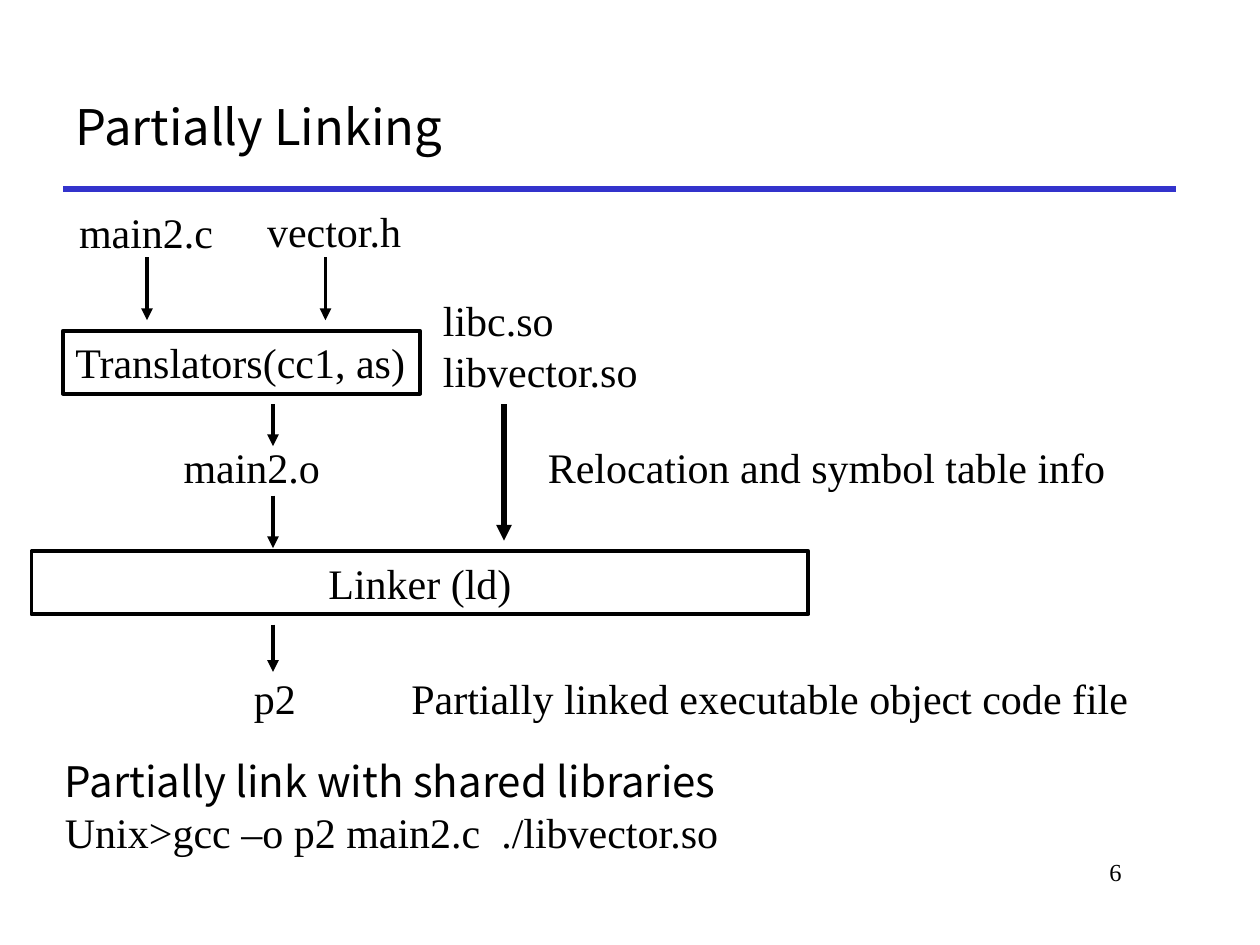
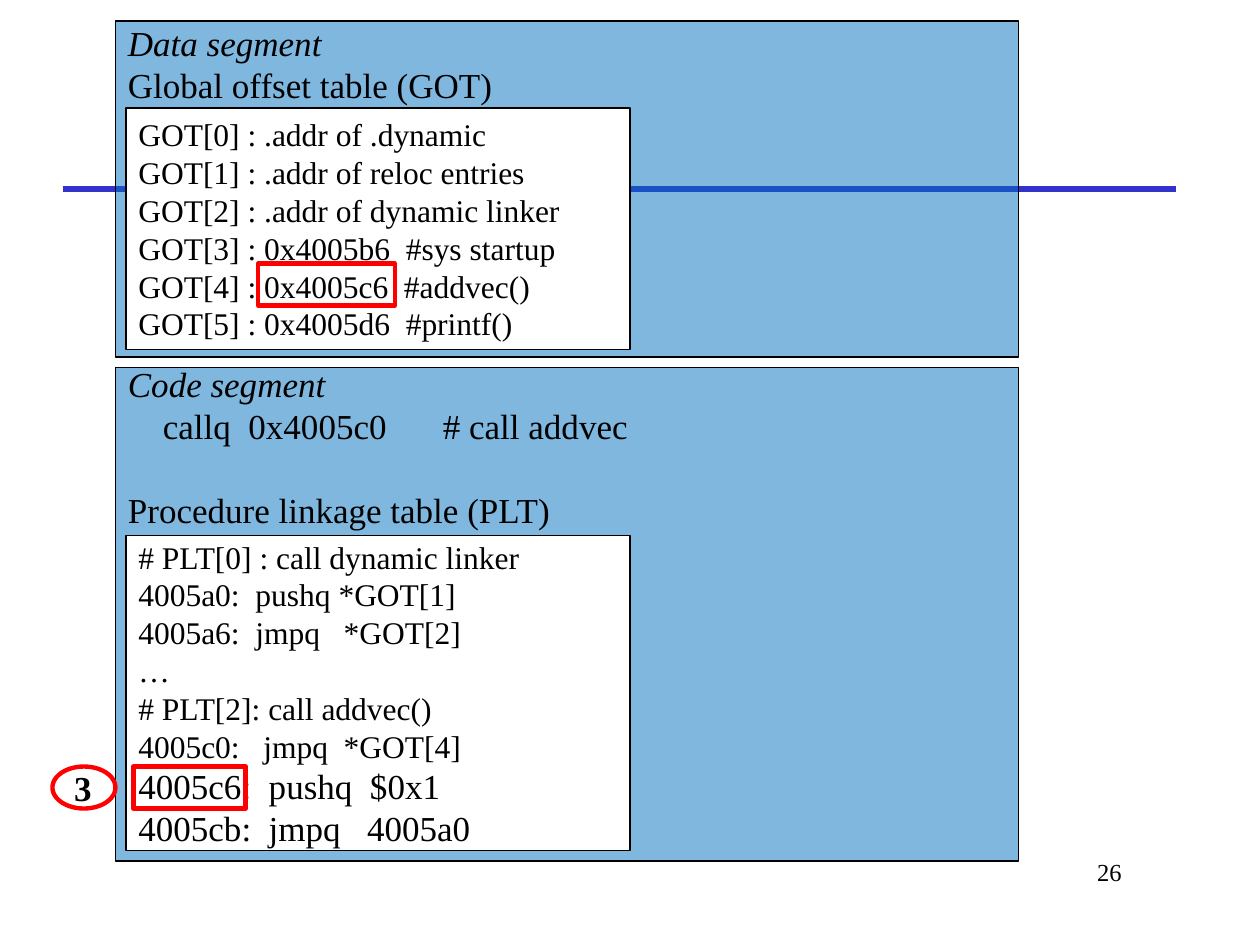
"""Build two slides on partial linking and lazy binding."""
from lxml import etree
from pptx import Presentation
from pptx import util as u
from pptx.dml.color import RGBColor
from pptx.enum import shapes, text
from pptx.oxml.ns import qn

BLACK = RGBColor(0, 0, 0)
WHITE = RGBColor(255, 255, 255)
RULE_BLUE = RGBColor(0x33, 0x33, 0xCC)
SEGMENT_BLUE = RGBColor(0, 0x70, 0xC0)
RED = RGBColor(255, 0, 0)
SERIF = "Times New Roman"
SANS = "Noto Sans CJK KR"
COLUMNS, ROWS = 120, 90
CELL = u.Inches(10) // COLUMNS
LEADING = 1.2
RECT = shapes.MSO_SHAPE.RECTANGLE
OVAL = shapes.MSO_SHAPE.OVAL
MIDDLE = text.MSO_ANCHOR.MIDDLE


def cells(*counts):
    """Turn grid counts into lengths."""
    return [u.Emu(round(count * CELL)) for count in counts]


def write(para, words, size=24, font=SERIF, align=text.PP_ALIGN.LEFT, bold=False,
          italic=False, spacing=None, before=0):
    """Fill a paragraph with formatted text."""
    para.alignment = align
    para.space_before = u.Pt(before)
    if spacing or font == SERIF:
        para.line_spacing = spacing or u.Pt(round(LEADING * size, 1))
    span = para.add_run()
    span.text = words
    span.font.name, span.font.size = font, u.Pt(size)
    span.font.bold, span.font.italic = bold, italic
    span.font.color.rgb = BLACK


def fill_frame(box, lines, wrap=True, anchor=text.MSO_ANCHOR.TOP, **style):
    """Write lines, each a string or a (string, format) pair."""
    frame = box.text_frame
    frame.word_wrap = wrap
    frame.vertical_anchor = anchor
    for index, line in enumerate(lines):
        words, extra = (line, {}) if isinstance(line, str) else line
        para = frame.add_paragraph() if index else frame.paragraphs[0]
        write(para, words, **{**style, **extra})


def add_label(page, at, *lines, **style):
    """Add a text box on the grid."""
    fill_frame(page.shapes.add_textbox(*cells(*at)), lines, **style)


def add_box(page, at, *lines, kind=RECT, fill=None, line=BLACK, weight=2.25, **style):
    """Add an outlined shape, with text if any."""
    box = page.shapes.add_shape(kind, *cells(*at))
    box.shadow.inherit = False
    if fill is None:
        box.fill.background()
    else:
        box.fill.solid()
        box.fill.fore_color.rgb = fill
    box.line.color.rgb, box.line.width = line, u.Pt(weight)
    if lines:
        fill_frame(box, lines, **style)
    return box


def add_segment(page, at, *lines, hidden_rows, size=20):
    """Add a half-transparent panel with its text above the reserved rows."""
    box = add_box(page, at, *lines, fill=SEGMENT_BLUE, weight=0.75, size=size, anchor=MIDDLE)
    color = box.fill._xPr.find(".//" + qn("a:srgbClr"))
    etree.SubElement(color, qn("a:alpha"), val="50000")
    box.text_frame.margin_top = 0
    box.text_frame.margin_bottom = u.Pt(hidden_rows * size * LEADING)


def add_line(page, start, end, color=BLACK, weight=2.25, arrow=True):
    """Add a straight line, with an arrowhead at its end by default."""
    line = page.shapes.add_connector(shapes.MSO_CONNECTOR.STRAIGHT, *cells(*start, *end))
    line.line.color.rgb, line.line.width = color, u.Pt(weight)
    if arrow:
        etree.SubElement(line.line._get_or_add_ln(), qn("a:tailEnd"), type="triangle")
    etree.SubElement(line._element.spPr, qn("a:effectLst"))


def add_down_arrow(page, column, top, bottom, weight=2.25):
    """Add a vertical arrow in a grid column."""
    add_line(page, (column, top), (column, bottom), weight=weight)


def add_page(deck, number, title=None):
    """Add a blank page with the rule, the number and a title."""
    page = deck.slides.add_slide(deck.slide_layouts[6])
    add_line(page, (6, 18), (112, 18), RULE_BLUE, 3, arrow=False)
    add_label(page, (91, 81, 17, 6), str(number), size=14, align=text.PP_ALIGN.RIGHT)
    if title:
        add_label(page, (6, 6, 106, 12), title, size=28, font=SANS, anchor=MIDDLE)
    return page


def build_linking(deck):
    """Draw the flow from sources to the partially linked program."""
    page = add_page(deck, 6, "Partially Linking")
    for words, left, top, width in (
            ("main2.c", 6.35, 19.1, 15.25), ("vector.h", 24.25, 19, 15.35),
            ("main2.o", 16.3, 41.5, 15.5), ("p2", 23, 63.5, 6.5)):
        add_label(page, (left, top, width, 6.1), words, wrap=False)
    add_box(page, (6, 31.5, 34, 6), "Translators(cc1, as)", wrap=False)
    add_box(page, (3, 52.5, 74, 6), "Linker (ld)", align=text.PP_ALIGN.CENTER)
    add_label(page, (41, 27.5, 22, 11), "libc.so", "libvector.so")
    add_label(page, (51, 41.5, 56, 6.1), "Relocation and symbol table info")
    add_label(page, (38, 63.5, 72, 6.1), "Partially linked executable object code file")
    for column, top, bottom in ((14, 24.5, 30.5), (31, 24.5, 30.5), (26, 38.5, 42.5),
                                (26, 47.2, 52.2), (26, 59.5, 64)):
        add_down_arrow(page, column, top, bottom)
    add_down_arrow(page, 48, 38.5, 51.5, weight=3)
    add_label(page, (5, 69, 106, 13.3),
              ("Partially link with shared libraries", {"font": SANS, "spacing": 1.5}),
              "Unix>gcc –o p2 main2.c  ./libvector.so")


def build_binding(deck):
    """Draw the GOT and the PLT in their segments."""
    page = add_page(deck, 26)
    add_segment(page, (11, 2, 86, 32), ("Data segment", {"italic": True}),
                "Global offset table (GOT)", hidden_rows=6)
    add_segment(page, (11, 35, 86, 47), ("Code segment", {"italic": True}),
                "    callq  0x4005c0\t# call addvec",
                ("Procedure linkage table (PLT)", {"before": 24}), hidden_rows=8)
    table = {"fill": WHITE, "weight": 0.75, "size": 18, "anchor": MIDDLE}
    add_box(page, (12, 10.3, 48, 23),
            "GOT[0] : .addr of .dynamic",
            "GOT[1] : .addr of reloc entries",
            "GOT[2] : .addr of dynamic linker",
            "GOT[3] : 0x4005b6  #sys startup",
            "GOT[4] : 0x4005c6  #addvec()",
            "GOT[5] : 0x4005d6  #printf()", **table)
    add_box(page, (12, 51, 48, 30),
            "# PLT[0] : call dynamic linker",
            "4005a0:  pushq *GOT[1]",
            "4005a6:  jmpq   *GOT[2]",
            "…",
            "# PLT[2]: call addvec()",
            "4005c0:   jmpq  *GOT[4]",
            ("4005c6:  pushq  $0x1", {"size": 20}),
            ("4005cb:  jmpq   4005a0", {"size": 20}), **table)
    mark = {"line": RED, "weight": 2.5}
    add_box(page, (24.6, 25.1, 13, 4), **mark)
    add_box(page, (5, 73, 6, 4), "3", kind=OVAL, size=20, bold=True, anchor=MIDDLE, **mark)
    add_box(page, (12.7, 73, 10.7, 4), **mark)


def main():
    """Build and save the deck."""
    deck = Presentation()
    deck.slide_width, deck.slide_height = cells(COLUMNS, ROWS)
    build_linking(deck)
    build_binding(deck)
    deck.save("out.pptx")


if __name__ == "__main__":
    main()
